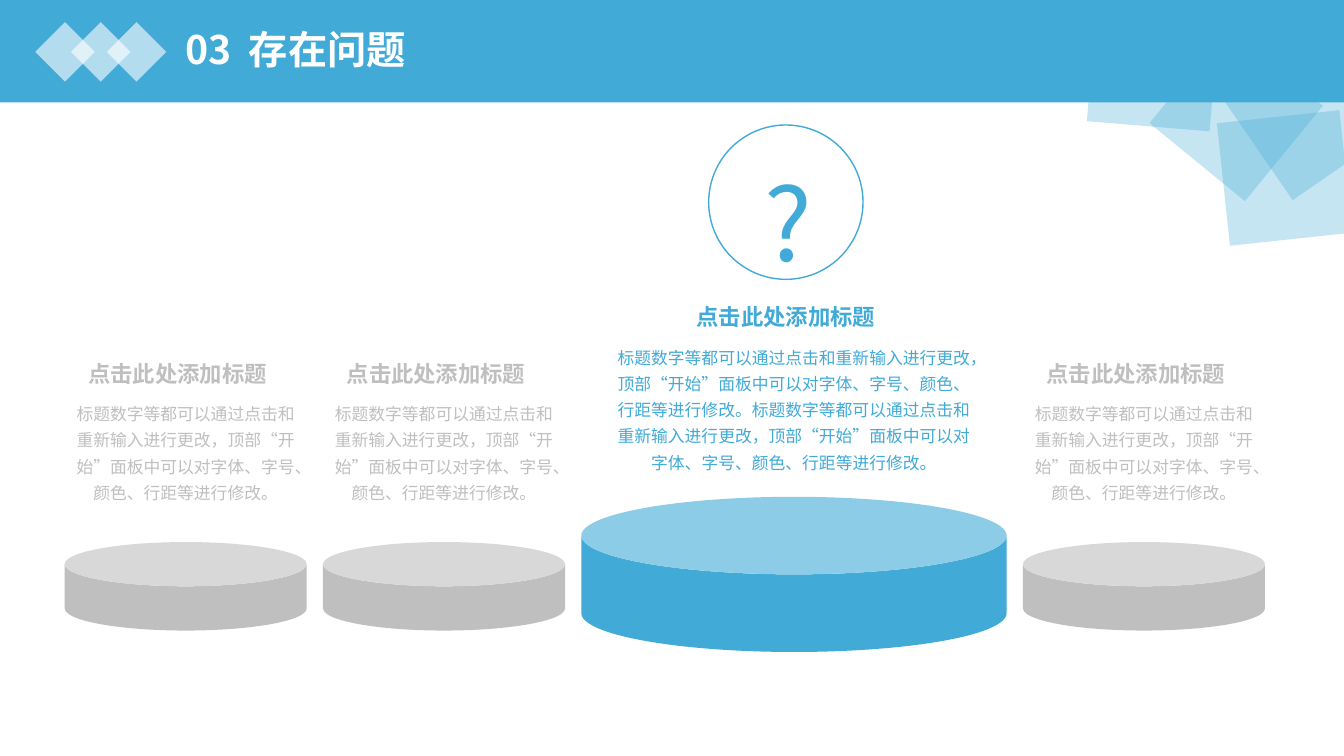
from lxml.etree import SubElement as Sub
from pptx import Presentation
from pptx.dml.color import RGBColor as RGB
from pptx.enum.lang import MSO_LANGUAGE_ID as Lang
from pptx.enum.shapes import MSO_SHAPE as Kind
from pptx.enum.text import MSO_ANCHOR as Anchor, MSO_AUTO_SIZE as Fit, PP_ALIGN as Align
from pptx.oxml.ns import qn
from pptx.util import Cm, Pt

BLUE, GRAY, WHITE = "41AAD7", "BFBFBF", "FFFFFF"
NOTO, GYRE = "Noto Sans CJK SC", "TeX Gyre Adventor"
HEAD = "点击此处添加标题"
BODY = "标题数字等都可以通过点击和重新输入进行更改，顶部“开始”面板中可以对字体、字号、颜色、行距等进行修改。"

deck = Presentation()
deck.slide_width, deck.slide_height = Cm(33.87), Cm(19.05)
slide = deck.slides.add_slide(deck.slide_layouts[5])
shapes = slide.shapes


def draw(kind, left, top, wide, high, fill=None, alpha=None, line=None, turn=0):
    shape = shapes.add_shape(kind, Cm(left), Cm(top), Cm(wide), Cm(high))
    shape.shadow.inherit = False
    shape.rotation = turn
    if fill:
        shape.fill.solid()
        shape.fill.fore_color.rgb = RGB.from_string(fill)
    else:
        shape.fill.background()
    if alpha:
        tint = shape.fill._xPr.find(".//" + qn("a:srgbClr"))
        Sub(tint, qn("a:alpha"), val=str(alpha * 1000))
    if line:
        shape.line.color.rgb = RGB.from_string(line)
        shape.line.width = Pt(1)
    else:
        shape.line.fill.background()
    return shape


def write(text, left, top, wide, high, size, color, font=NOTO, bold=False,
          wrap=True, space=1.3, align=Align.CENTER, fit=Fit.SHAPE_TO_FIT_TEXT, box=None):
    box = box or shapes.add_textbox(0, 0, 0, 0)
    box.left, box.top, box.width, box.height = Cm(left), Cm(top), Cm(wide), Cm(high)
    frame = box.text_frame
    frame.word_wrap, frame.auto_size = wrap, fit
    para = frame.paragraphs[0]
    para.alignment, para.line_spacing = align, space
    run = para.add_run()
    run.text = text
    face = run.font
    face.size, face.bold, face.name = Pt(size), bold, font
    face.color.rgb = RGB.from_string(color)
    face.language_id = Lang.SIMPLIFIED_CHINESE
    Sub(run._r.get_or_add_rPr(), qn("a:ea"), typeface=font)
    return box


# Corner diamonds, partly under the banner
for left, top, turn in [(30.18, 2.29, 38.9), (28.96, 0.69, 354.3),
                        (30.78, 0.69, 10.4), (26.87, -0.56, 319.7)]:
    draw(Kind.DIAMOND, left, top, 4.39, 4.39, BLUE, alpha=30, turn=turn)

# Banner with three diamonds
draw(Kind.RECTANGLE, 0, 0, 33.87, 2.58, BLUE)
for i in range(3):
    draw(Kind.DIAMOND, 0.89 + 0.9 * i, 0.56, 1.5, 1.5, WHITE, alpha=60)

# Title, with a tab stop between number and name
title = write("03\t存在问题", 4.42, 0.43, 27.79, 1.73, 28, WHITE, bold=True,
              space=0.9, align=Align.LEFT, fit=Fit.NONE, box=shapes.title)
title.text_frame.vertical_anchor = Anchor.MIDDLE
para = title.text_frame.paragraphs[0]
para.space_before = Pt(10)
tabs = Sub(para._p.get_or_add_pPr(), qn("a:tabLst"))
Sub(tabs, qn("a:tab"), pos=str(Cm(1.6)), algn="l")
shapes._spTree.append(title._element)

# Four drums in a row, each with a heading and a text above
small = dict(wide=6.1, high=2.23, top=13.66, color=GRAY, text=BODY,
             span=6.38, start=9.9, tall=2.92)
large = dict(wide=10.72, high=3.91, top=12.52, color=BLUE, text=BODY * 2,
             span=9.47, start=8.48, tall=3.58)
left, gap = 1.63, 0.41
for drum in (small, small, large, small):
    wide, start, color = drum["wide"], drum["start"], drum["color"]
    mid = left + wide / 2
    can = draw(Kind.CAN, left, drum["top"], wide, drum["high"], color)
    can.adjustments[0] = 0.5
    write(drum["text"], mid - drum["span"] / 2, start, drum["span"], drum["tall"], 12, color)
    write(HEAD, mid - 2.74, start - 1.16, 5.08, 1.14, 16, color,
          font=GYRE, bold=True, wrap=False)
    left += wide + gap

# Question mark in a ring
write("?", 19.02, 3.02, 1.57, 3.43, 72, BLUE, wrap=False)
draw(Kind.OVAL, 17.86, 3.15, 3.89, 3.89, line=BLUE)

deck.save("out.pptx")
